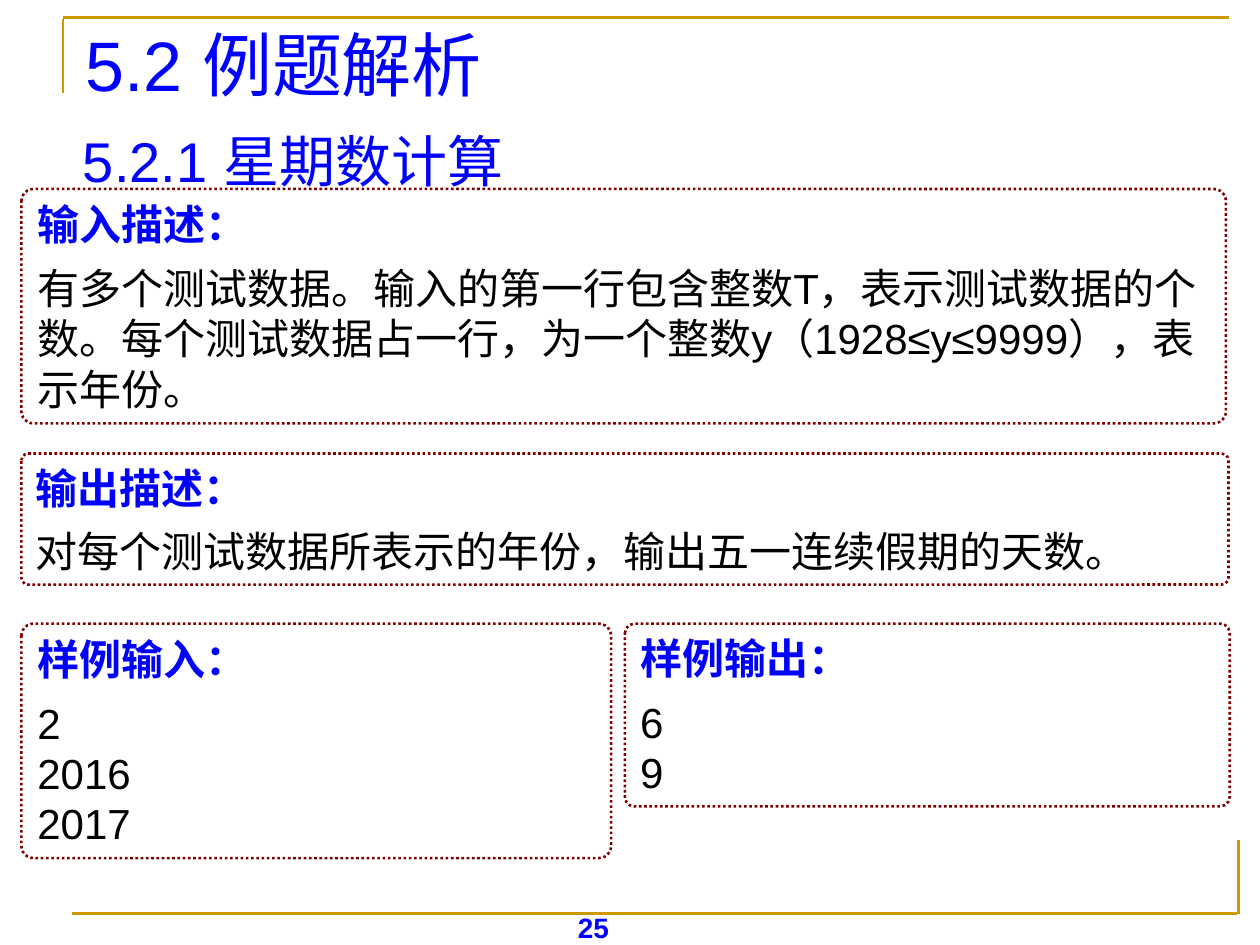
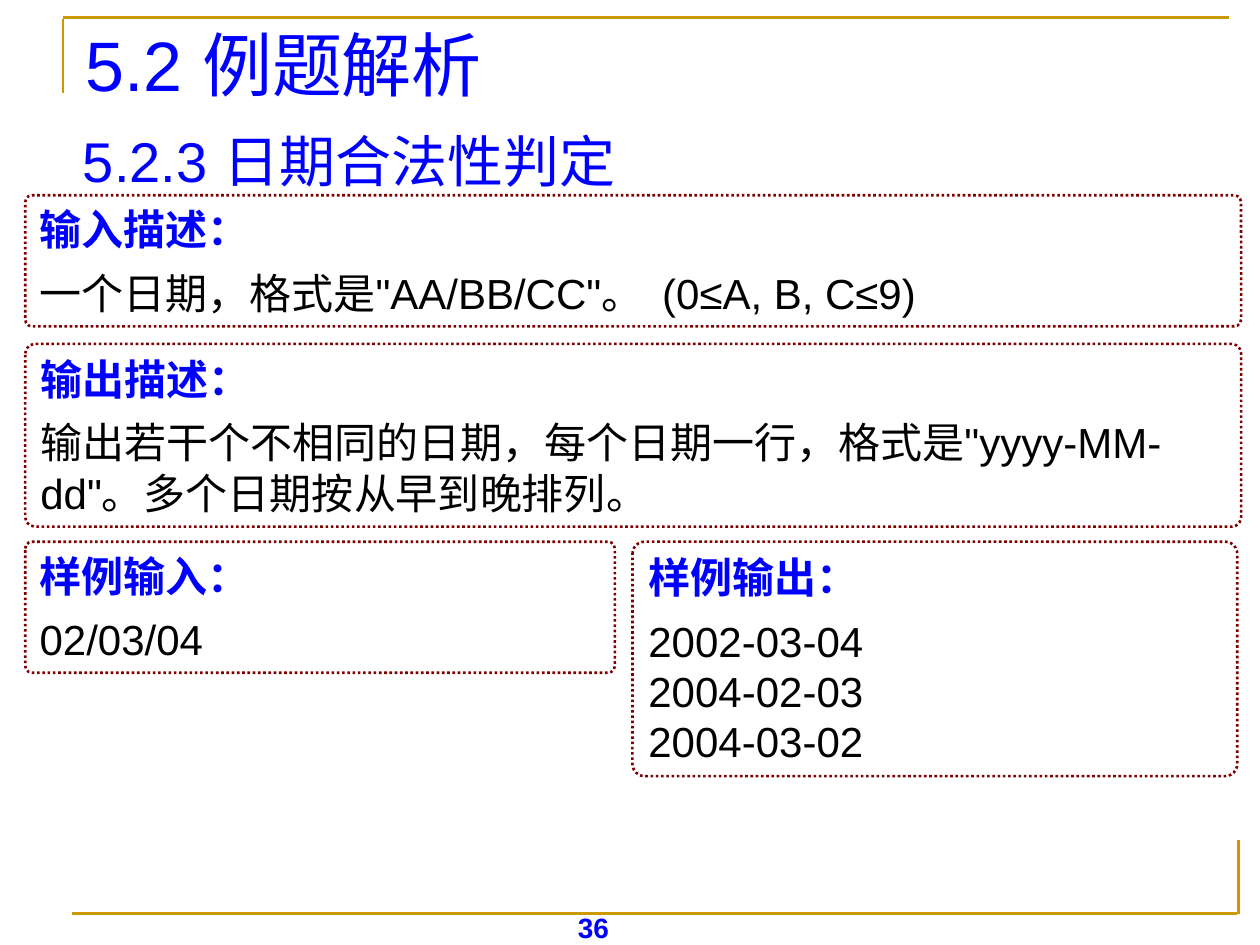
from dataclasses import dataclass

from lxml import etree
from pptx import Presentation, util as u
from pptx.dml.color import RGBColor
from pptx.enum import dml, lang, shapes, text
from pptx.oxml import ns

WIDTH, HEIGHT = u.Inches(10), u.Inches(7.5)
COLORS = {"gold": "CC9900", "blue": "0000FF", "maroon": "800000", "black": "000000", "white": "FFFFFF"}
FONT = "Arial"
TITLE = "5.2 例题解析"
PANEL_PAD, PANEL_ROW = 2.93, 5.47
CORNER = 0.052
GAP_AFTER = 7.5


@dataclass(frozen=True)
class Rule:
    x1: float
    y1: float
    x2: float
    y2: float


@dataclass(frozen=True)
class Label:
    left: float
    top: float
    width: float
    height: float
    size: int
    bold: bool = False
    align: text.PP_ALIGN = text.PP_ALIGN.LEFT
    anchor: text.MSO_ANCHOR = text.MSO_ANCHOR.TOP
    before: float = 0


@dataclass(frozen=True)
class Panel:
    left: float
    top: float
    width: float
    rows: int
    heading: str
    body: tuple[str, ...]
    body_gap: float = 0


@dataclass(frozen=True)
class Page:
    number: int
    subtitle: str
    panels: tuple[Panel, ...]


RULES = (
    Rule(5, 2, 5, 9.87),
    Rule(5, 1.87, 97.5, 1.87),
    Rule(98.3, 88.93, 98.3, 96.67),
    Rule(5.7, 96.67, 98.2, 96.67),
)
TITLE_LABEL = Label(5.8, 2.27, 90.8, 8.93, 40, anchor=text.MSO_ANCHOR.MIDDLE)
SUBTITLE_LABEL = Label(5.6, 11.2, 91.1, 86.13, 32, before=8)
NUMBER_LABEL = Label(36.7, 95.73, 20.8, 3.33, 16, bold=True, align=text.PP_ALIGN.CENTER)

PAGES = (
    Page(25, "5.2.1 星期数计算", (
        Panel(1.7, 20, 95.6, 4, "输入描述：", (
            "有多个测试数据。输入的第一行包含整数T，表示测试数据的个数。"
            "每个测试数据占一行，为一个整数y（1928≤y≤9999），表示年份。",), GAP_AFTER),
        Panel(1.7, 48, 95.8, 2, "输出描述：", (
            "对每个测试数据所表示的年份，输出五一连续假期的天数。",), GAP_AFTER),
        Panel(1.7, 66, 46.8, 4, "样例输入：", ("2", "2016", "2017")),
        Panel(49.6, 66, 48, 3, "样例输出：", ("6", "9")),
    )),
    Page(36, "5.2.3 日期合法性判定", (
        Panel(2, 20.67, 96.5, 2, "输入描述：", (
            '一个日期，格式是"AA/BB/CC"。  (0≤A, B, C≤9)',), GAP_AFTER),
        Panel(2, 36.4, 96.5, 3, "输出描述：", (
            '输出若干个不相同的日期，每个日期一行，格式是"yyyy-MM-dd"。'
            "多个日期按从早到晚排列。",), GAP_AFTER),
        Panel(2, 57.33, 46.8, 2, "样例输入：", ("02/03/04",)),
        Panel(50.2, 57.33, 48, 4, "样例输出：", ("2002-03-04", "2004-02-03", "2004-03-02")),
    )),
)


def px(share: float) -> int:
    return round(WIDTH * share / 100)


def py(share: float) -> int:
    return round(HEIGHT * share / 100)


def rgb(name: str) -> RGBColor:
    return RGBColor.from_string(COLORS[name])


def add_run(p, content: str, size: int, color: str, bold: bool = False) -> None:
    r = p.add_run()
    r.text = content
    r.font.name = FONT
    r.font.size = u.Pt(size)
    r.font.bold = bold
    r.font.color.rgb = rgb(color)
    r.font.language_id = lang.MSO_LANGUAGE_ID.SIMPLIFIED_CHINESE


def draw_rule(s, rule: Rule) -> None:
    line = s.shapes.add_connector(
        shapes.MSO_CONNECTOR.STRAIGHT, px(rule.x1), py(rule.y1), px(rule.x2), py(rule.y2))
    line.line.color.rgb = rgb("gold")
    line.line.width = u.Pt(1.5)
    etree.SubElement(line._element.spPr, ns.qn("a:effectLst"))


def draw_label(s, label: Label, content: str) -> None:
    sp = s.shapes.add_textbox(px(label.left), py(label.top), px(label.width), py(label.height))
    tf = sp.text_frame
    tf.word_wrap = True
    tf.vertical_anchor = label.anchor
    p = tf.paragraphs[0]
    p.alignment = label.align
    if label.before:
        tf.margin_top += u.Pt(label.before)
    add_run(p, content, label.size, "blue", label.bold)


def draw_panel(s, panel: Panel) -> None:
    height = PANEL_PAD + PANEL_ROW * panel.rows
    sp = s.shapes.add_shape(
        shapes.MSO_SHAPE.ROUNDED_RECTANGLE,
        px(panel.left), py(panel.top), px(panel.width), py(height))
    sp.adjustments[0] = CORNER
    sp.shadow.inherit = False
    sp.fill.solid()
    sp.fill.fore_color.rgb = rgb("white")
    sp.line.color.rgb = rgb("maroon")
    sp.line.width = u.Pt(1.5)
    sp.line.dash_style = dml.MSO_LINE.ROUND_DOT
    tf = sp.text_frame
    tf.word_wrap = True
    tf.auto_size = text.MSO_AUTO_SIZE.SHAPE_TO_FIT_TEXT
    tf.vertical_anchor = text.MSO_ANCHOR.MIDDLE
    p = tf.paragraphs[0]
    p.alignment = text.PP_ALIGN.LEFT
    p.space_after = u.Pt(GAP_AFTER)
    add_run(p, panel.heading, 24, "blue", True)
    for content in panel.body:
        p = tf.add_paragraph()
        p.alignment = text.PP_ALIGN.LEFT
        p.space_after = u.Pt(panel.body_gap)
        add_run(p, content, 24, "black")


def draw_page(prs, page: Page) -> None:
    s = prs.slides.add_slide(prs.slide_layouts[6])
    for rule in RULES:
        draw_rule(s, rule)
    draw_label(s, NUMBER_LABEL, str(page.number))
    draw_label(s, TITLE_LABEL, TITLE)
    draw_label(s, SUBTITLE_LABEL, page.subtitle)
    for panel in page.panels:
        draw_panel(s, panel)


def main() -> None:
    prs = Presentation()
    prs.slide_width, prs.slide_height = WIDTH, HEIGHT
    for page in PAGES:
        draw_page(prs, page)
    prs.save("out.pptx")


if __name__ == "__main__":
    main()
